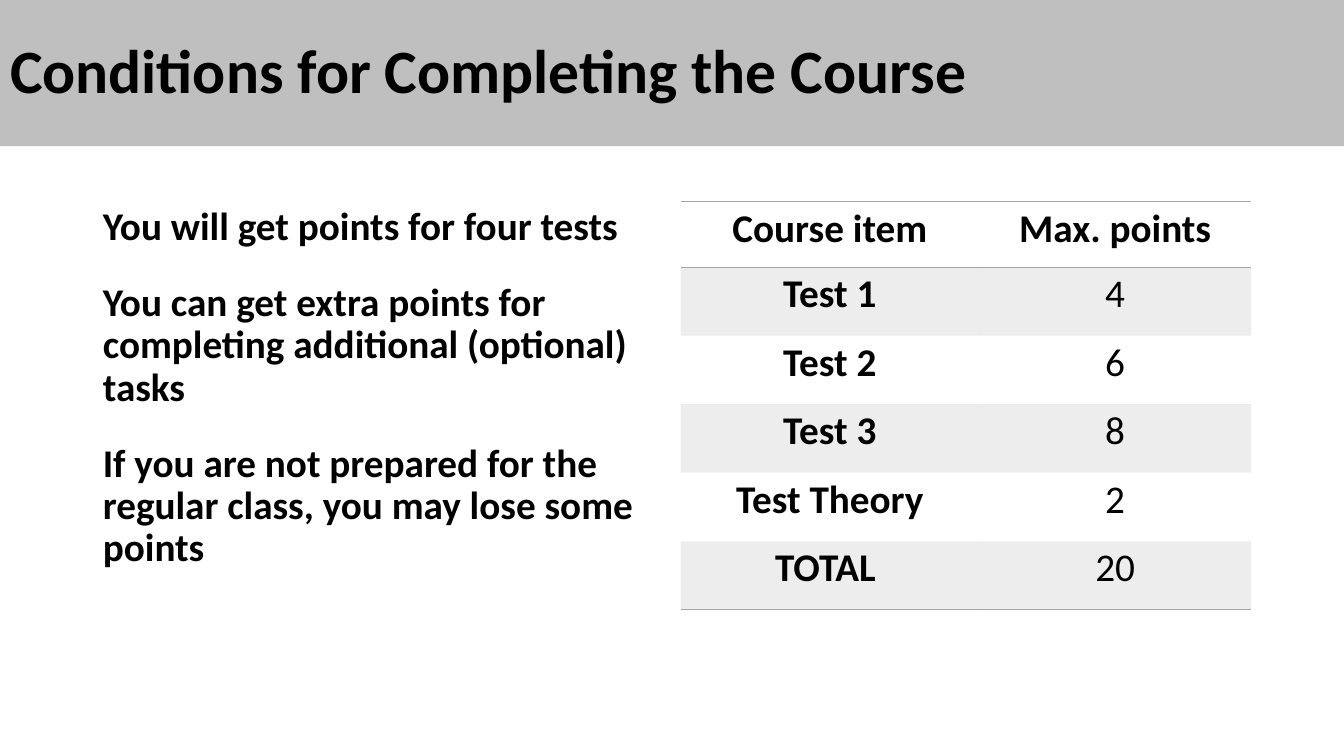
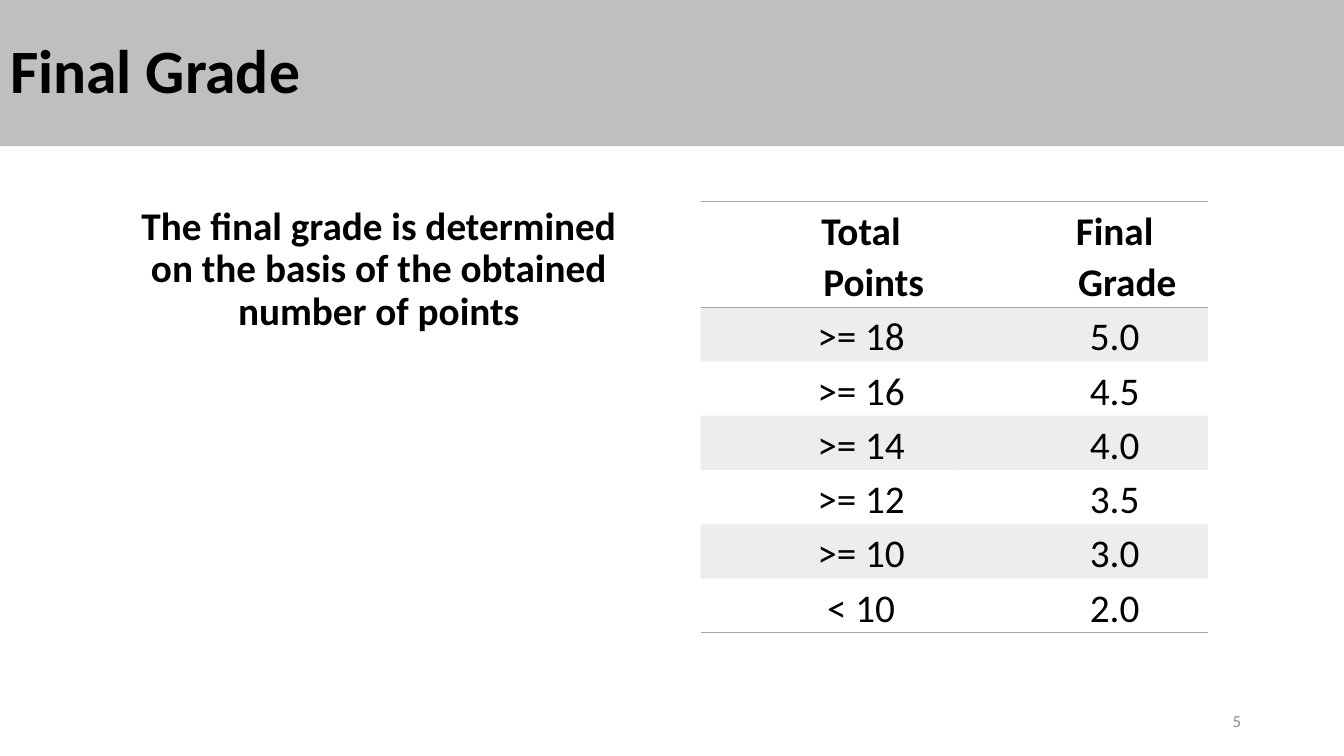
from lxml import etree
from pptx import Presentation, util as u
from pptx.dml.color import RGBColor
from pptx.enum import text
from pptx.oxml import ns

# Shared style
WIDTH, HEIGHT = u.Inches(13.33), u.Inches(7.5)
FONT = "Calibri"
COLORS = {"band": "BFBFBF", "text": "000000", "rule": "A5A5A5", "number": "8C8C8C"}
BAND_HEIGHT = u.Inches(1.45)
CONTENT_TOP = u.Inches(2)
MARGIN = u.Inches(0.92)
COLUMN_WIDTH = u.Inches(5.67)
BODY_SIZE = 28
STRIPE_ALPHA = 20
PLAIN_TABLE_STYLE = "{2D5ABB26-0587-4C30-8999-92F81FD0307C}"

LEFT, CENTER, RIGHT = text.PP_ALIGN.LEFT, text.PP_ALIGN.CENTER, text.PP_ALIGN.RIGHT
MIDDLE, TOP = text.MSO_ANCHOR.MIDDLE, text.MSO_ANCHOR.TOP


def place(shape, left, top, width, height):
    shape.left, shape.top, shape.width, shape.height = left, top, width, height


def write(paragraph, content, size=BODY_SIZE, bold=True, color="text",
          align=LEFT, spacing=0.9, before=0, after=0):
    paragraph.text = content
    paragraph.alignment = align
    paragraph.line_spacing = spacing
    paragraph.space_before, paragraph.space_after = u.Pt(before), u.Pt(after)
    for run in paragraph.runs:
        run.font.name, run.font.size, run.font.bold = FONT, u.Pt(size), bold
        run.font.color.rgb = RGBColor.from_string(COLORS[color])


def set_indent(paragraph, left=0, first=0):
    properties = paragraph._p.get_or_add_pPr()
    properties.set("marL", str(u.Inches(left)))
    properties.set("indent", str(u.Inches(first)))
    return properties


def prepare_frame(shape, anchor):
    frame = shape.text_frame
    frame.word_wrap = True
    frame.auto_size = text.MSO_AUTO_SIZE.NONE
    frame.vertical_anchor = anchor
    return frame


# Slide parts
def add_titled_slide(presentation, title):
    slide = presentation.slides.add_slide(presentation.slide_layouts[1])
    band = slide.shapes.title
    place(band, 0, 0, WIDTH, BAND_HEIGHT)
    band.fill.solid()
    band.fill.fore_color.rgb = RGBColor.from_string(COLORS["band"])
    write(prepare_frame(band, MIDDLE).paragraphs[0], title, size=44)
    return slide


def fill_body(slide, statements, align=LEFT):
    body = slide.placeholders[1]
    place(body, MARGIN, CONTENT_TOP, COLUMN_WIDTH, u.Inches(4.76))
    frame = prepare_frame(body, TOP)
    for index, statement in enumerate(statements):
        paragraph = frame.add_paragraph() if index else frame.paragraphs[0]
        write(paragraph, statement, align=align, before=12, after=12)
        etree.SubElement(set_indent(paragraph), ns.qn("a:buNone"))


def add_slide_number(slide, number):
    width = u.Inches(3)
    box = slide.shapes.add_textbox(WIDTH - MARGIN - width, u.Inches(6.95), width, u.Inches(0.4))
    write(prepare_frame(box, MIDDLE).paragraphs[0], number, size=12, bold=False,
          color="number", align=RIGHT, spacing=1.0)


# Table
def add_solid_fill(parent, color, alpha=100):
    fill = etree.SubElement(parent, ns.qn("a:solidFill"))
    value = etree.SubElement(fill, ns.qn("a:srgbClr"), val=COLORS[color])
    if alpha < 100:
        etree.SubElement(value, ns.qn("a:alpha"), val=str(alpha * 1000))


def paint_cell(cell, edges, striped):
    properties = cell._tc.get_or_add_tcPr()
    for edge in edges:
        line = etree.SubElement(properties, ns.qn("a:ln" + edge), w=str(u.Pt(1)))
        add_solid_fill(line, "rule")
    if striped:
        add_solid_fill(properties, "rule", STRIPE_ALPHA)
    else:
        etree.SubElement(properties, ns.qn("a:noFill"))


def add_ruled_table(slide, rows, left, widths, header_height, row_height, insets,
                    bold_labels=False, after=0, indent=(0, 0)):
    heights = [header_height] + [row_height] * (len(rows) - 1)
    frame = slide.shapes.add_table(len(rows), len(widths), u.Inches(left), CONTENT_TOP,
                                   u.Inches(sum(widths)), u.Inches(sum(heights)))
    table = frame.table
    table._tbl.tblPr.find(ns.qn("a:tableStyleId")).text = PLAIN_TABLE_STYLE
    for column, width in zip(table.columns, widths):
        column.width = u.Inches(width)
    side, top = insets
    for row_index, values in enumerate(rows):
        table.rows[row_index].height = u.Inches(heights[row_index])
        is_header = row_index == 0
        edges = "TB" if is_header else "B" if row_index == len(rows) - 1 else ""
        for column_index, value in enumerate(values):
            cell = table.cell(row_index, column_index)
            cell.margin_left = cell.margin_right = u.Inches(side)
            cell.margin_top, cell.margin_bottom = u.Inches(top), 0
            paragraph = cell.text_frame.paragraphs[0]
            write(paragraph, value, bold=is_header or (bold_labels and column_index == 0),
                  align=CENTER, spacing=1.07, after=after)
            set_indent(paragraph, *indent)
            paint_cell(cell, edges, striped=row_index % 2 == 1)


# Slides
def add_conditions_slide(presentation):
    slide = add_titled_slide(presentation, "Conditions for Completing the Course")
    fill_body(slide, [
        "You will get points for four tests",
        "You can get extra points for completing additional (optional) tasks",
        "If you are not prepared for the regular class, you may lose some points",
    ])
    rows = [("Course item", "Max. points"), ("Test 1", "4"), ("Test 2", "6"),
            ("Test 3", "8"), ("Test Theory", "2"), ("TOTAL ", "20")]
    add_ruled_table(slide, rows, left=6.75, widths=(2.96, 2.7), header_height=0.65,
                    row_height=0.68, insets=(0.23, 0), bold_labels=True, after=8)


def add_grade_slide(presentation):
    slide = add_titled_slide(presentation, "Final Grade")
    fill_body(slide, ["The final grade is determined\von the basis of the obtained "
                      "number of points"], align=CENTER)
    add_slide_number(slide, "5")
    rows = [("Total Points", "Final Grade"), (">= 18", "5.0"), (">= 16", "4.5"),
            (">= 14", "4.0"), (">= 12", "3.5"), (">= 10", "3.0"), ("< 10", "2.0")]
    add_ruled_table(slide, rows, left=6.95, widths=(2.54, 2.49), header_height=0.53,
                    row_height=0.53, insets=(0.21, 0.03), indent=(0.89, -0.25))


def main():
    presentation = Presentation()
    presentation.slide_width, presentation.slide_height = WIDTH, HEIGHT
    add_conditions_slide(presentation)
    add_grade_slide(presentation)
    presentation.save("out.pptx")


main()
